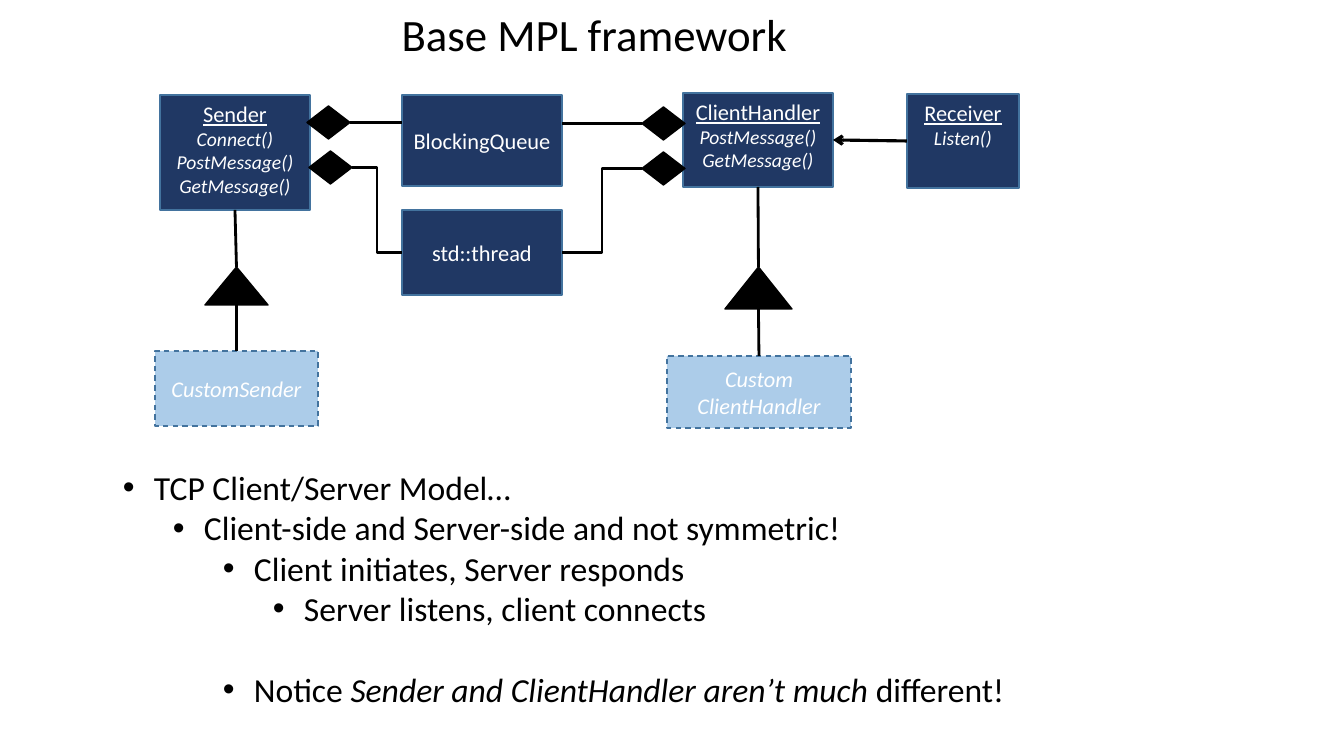
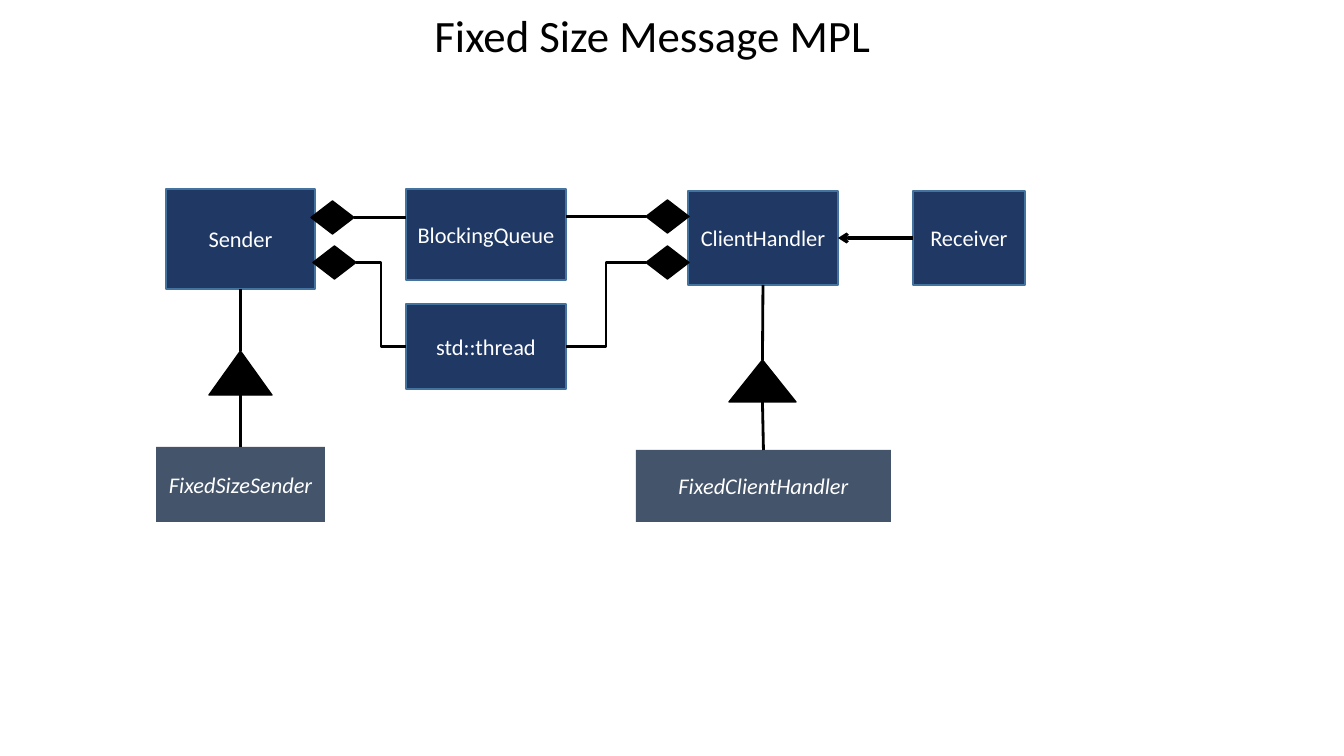
import pptx
import pptx.util
import pptx.dml.color
import pptx.enum.dml
import pptx.enum.shapes
import pptx.enum.text
import pptx.oxml.ns
import lxml.etree

RGB = pptx.dml.color.RGBColor
SHAPE = pptx.enum.shapes.MSO_SHAPE
CONNECTOR = pptx.enum.shapes.MSO_CONNECTOR
ANCHOR = pptx.enum.text.MSO_ANCHOR
ALIGN = pptx.enum.text.PP_ALIGN
qn = pptx.oxml.ns.qn

NAVY = RGB(0x20, 0x38, 0x64)
EDGE = RGB(0x43, 0x73, 0x9E)
SKY = RGB(0x5B, 0x9B, 0xD5)
SLATE = RGB(0x44, 0x54, 0x6A)
BLACK = RGB(0, 0, 0)
WHITE = RGB(255, 255, 255)
FONT = "Calibri"

SLIDE_WIDTH, SLIDE_HEIGHT = 1344, 756
SCALE = 12192000 / SLIDE_WIDTH
DIAMOND = (43, 33)
TITLE_SIZE = (993, 65)
INDENT, INDENT_STEP = 31, 50
TOP, LEFT, BOTTOM, RIGHT = range(4)  # connection sites of a box or diamond
APEX, BASE = 0, 3                    # connection sites of a triangle

# Each kind of class box: fill, opacity in percent, edge, dashed edge
KINDS = {
    "base": (NAVY, 100, EDGE, False),
    "custom": (SKY, 50, EDGE, True),
    "fixed": (SLATE, 100, None, False),
}

# Class boxes: key -> (kind, lines of text, (left, top, width, height)).
# Below the class name, further lines of a base class are its methods.
# Diamonds: (owner's side, part, (left, top)).
# Inheritance: (base, derived, triangle's (left, top, width, height)).
SLIDES = [
    {
        "title": ("Base MPL framework", (98, 2)),
        "classes": {
            "sender": ("base", ["Sender", "Connect()", "PostMessage()", "GetMessage()"],
                       (160, 95, 150, 115)),
            "receiver": ("base", ["Receiver", "Listen()"], (907, 94, 112, 94)),
            "handler": ("base", ["ClientHandler", "PostMessage()", "GetMessage()"],
                        (683, 93, 150, 94)),
            "queue": ("base", ["BlockingQueue"], (402, 95, 160, 91)),
            "thread": ("base", ["std::thread"], (402, 210, 160, 85)),
            "own sender": ("custom", ["CustomSender"], (155, 351, 163, 75)),
            "own handler": ("custom", ["Custom", "ClientHandler"], (667, 356, 184, 72)),
        },
        "diamonds": [
            ("sender", "queue", (307, 106)),
            ("sender", "thread", (309, 151)),
            ("handler", "queue", (642, 107)),
            ("handler", "thread", (642, 152)),
        ],
        "inheritance": [
            ("sender", "own sender", (205, 267, 63, 38)),
            ("handler", "own handler", (725, 267, 67, 42)),
        ],
        "bullets_at": (113, 462, 1059, 254),
        # level, space before in points, [(text, italic)]
        "bullets": [
            (0, 0, [("TCP Client/Server Model…", False)]),
            (1, 0, [("Client-side and Server-side and not symmetric!", False)]),
            (2, 0, [("Client initiates, Server responds", False)]),
            (3, 0, [("Server listens, client connects", False)]),
            (2, 29, [("Notice ", False),
                     ("Sender and ClientHandler aren’t much ", True),
                     ("different!", False)]),
        ],
    },
    {
        "title": ("Fixed Size Message MPL", (156, 3)),
        "classes": {
            "sender": ("base", ["Sender"], (166, 189, 149, 100)),
            "receiver": ("base", ["Receiver"], (913, 191, 112, 94)),
            "handler": ("base", ["ClientHandler"], (688, 191, 150, 94)),
            "queue": ("base", ["BlockingQueue"], (406, 189, 160, 91)),
            "thread": ("base", ["std::thread"], (406, 304, 160, 85)),
            "own sender": ("fixed", ["FixedSizeSender"], (156, 447, 169, 75)),
            "own handler": ("fixed", ["FixedClientHandler"], (636, 450, 255, 72)),
        },
        "diamonds": [
            ("sender", "queue", (311, 201)),
            ("sender", "thread", (313, 246)),
            ("handler", "queue", (646, 200)),
            ("handler", "thread", (646, 246)),
        ],
        "inheritance": [
            ("sender", "own sender", (209, 351, 63, 44)),
            ("handler", "own handler", (729, 360, 67, 42)),
        ],
    },
]


def px(length):
    """Turn pixels into EMU."""
    return pptx.util.Emu(round(length * SCALE))


def add_run(paragraph, words, size, color, italic=False, underline=False):
    """Add one formatted run to a paragraph."""
    run = paragraph.add_run()
    run.text = words
    font = run.font
    font.name, font.size = FONT, pptx.util.Pt(size)
    font.color.rgb = color
    font.italic, font.underline = italic, underline


def paragraphs(frame, count):
    """Return the first paragraph of a frame and as many more as needed."""
    return [frame.paragraphs[0]] + [frame.add_paragraph() for _ in range(count - 1)]


def add_solid(slide, preset, place, fill, edge):
    """Add a filled preset shape with a thin edge and no shadow."""
    solid = slide.shapes.add_shape(preset, *map(px, place))
    solid.shadow.inherit = False
    solid.fill.solid()
    solid.fill.fore_color.rgb = fill
    if edge is None:
        solid.line.fill.background()
    else:
        solid.line.color.rgb = edge
        solid.line.width = pptx.util.Pt(1)
    return solid


def add_class(slide, kind, lines, place):
    """Add a class box, with its methods below the name if it lists any."""
    fill, opacity, edge, dashed = KINDS[kind]
    box = add_solid(slide, SHAPE.RECTANGLE, place, fill, edge)
    if opacity < 100:
        tint = box.element.spPr.find(qn("a:solidFill"))[0]
        lxml.etree.SubElement(tint, qn("a:alpha"), val=str(opacity * 1000))
    if dashed:
        box.line.dash_style = pptx.enum.dml.MSO_LINE.DASH
    has_methods = kind == "base" and len(lines) > 1
    frame = box.text_frame
    frame.word_wrap = True
    frame.vertical_anchor = ANCHOR.TOP if has_methods else ANCHOR.MIDDLE
    for row, paragraph in enumerate(paragraphs(frame, len(lines))):
        paragraph.alignment = ALIGN.CENTER
        method = has_methods and row > 0
        add_run(paragraph, lines[row], 14 if method else 16, WHITE,
                italic=method or kind != "base",
                underline=has_methods and row == 0)
    return box


def add_link(slide, start, end, route=CONNECTOR.STRAIGHT, weight=2, arrow=False):
    """Connect two ends, each a (shape, site) pair or an (x, y) point in EMU."""
    link = slide.shapes.add_connector(route, 0, 0, 0, 0)
    if isinstance(start[0], int):
        link.begin_x, link.begin_y = start
    else:
        link.begin_connect(*start)
    link.end_connect(*end)
    link.line.color.rgb = BLACK
    link.line.width = pptx.util.Pt(weight)
    properties = link.element.spPr
    if arrow:
        lxml.etree.SubElement(properties.find(qn("a:ln")), qn("a:tailEnd"), type="arrow")
    lxml.etree.SubElement(properties, qn("a:effectLst"))


def add_ownership(slide, owner, part_name, part, corner):
    """Add a diamond beside its owner and the line to the part it holds."""
    diamond = add_solid(slide, SHAPE.DIAMOND, corner + DIAMOND, BLACK, BLACK)
    if owner == "sender":
        near, far, part_edge = RIGHT, LEFT, part.left
    else:
        near, far, part_edge = LEFT, RIGHT, part.left + part.width
    if part_name == "thread":
        add_link(slide, (diamond, near), (part, far), CONNECTOR.ELBOW)
    else:
        level = diamond.top + diamond.height // 2
        add_link(slide, (int(part_edge), level), (diamond, near))


def add_text(slide, place):
    """Add an empty wrapping text box and return its frame."""
    frame = slide.shapes.add_textbox(*map(px, place)).text_frame
    frame.word_wrap = True
    return frame


def add_title(slide, words, corner):
    """Add the centred slide title."""
    paragraph = add_text(slide, corner + TITLE_SIZE).paragraphs[0]
    paragraph.alignment = ALIGN.CENTER
    add_run(paragraph, words, 32, BLACK)


def add_bullets(slide, bullets, place):
    """Add a bulleted list with indented levels."""
    frame = add_text(slide, place)
    for paragraph, (level, gap, runs) in zip(paragraphs(frame, len(bullets)), bullets):
        paragraph.level = level
        paragraph.space_before = pptx.util.Pt(gap)
        for words, italic in runs:
            add_run(paragraph, words, 24, BLACK, italic)
        properties = paragraph._p.get_or_add_pPr()
        properties.set("marL", str(px(INDENT + level * INDENT_STEP)))
        properties.set("indent", str(-px(INDENT)))
        lxml.etree.SubElement(properties, qn("a:buFont"), typeface="Arial")
        lxml.etree.SubElement(properties, qn("a:buChar"), char="•")


def build_slide(deck, content):
    """Build one class diagram slide."""
    slide = deck.slides.add_slide(deck.slide_layouts[6])
    add_title(slide, *content["title"])
    classes = {key: add_class(slide, *entry) for key, entry in content["classes"].items()}
    for owner, part, corner in content["diamonds"]:
        add_ownership(slide, owner, part, classes[part], corner)
    for base, derived, place in content["inheritance"]:
        triangle = add_solid(slide, SHAPE.ISOSCELES_TRIANGLE, place, BLACK, BLACK)
        add_link(slide, (classes[base], BOTTOM), (triangle, APEX))
        # A triangle's base is the fourth site; its middle lies at the box's foot.
        add_link(slide, (triangle, BASE), (classes[derived], TOP))
    add_link(slide, (classes["receiver"], LEFT), (classes["handler"], RIGHT),
             weight=2.25, arrow=True)
    if "bullets" in content:
        add_bullets(slide, content["bullets"], content["bullets_at"])


def fix_triangle_starts(deck):
    """Move links that leave a triangle's base to the middle of that base."""
    for slide in deck.slides:
        triangles = {shape.shape_id: shape for shape in slide.shapes
                     if shape.element.find(".//" + qn("a:prstGeom")) is not None
                     and shape.element.find(".//" + qn("a:prstGeom")).get("prst") == "triangle"}
        for link in slide.shapes:
            start = link.element.find(".//" + qn("a:stCxn"))
            if start is not None and int(start.get("id")) in triangles:
                triangle = triangles[int(start.get("id"))]
                link.begin_x = triangle.left + triangle.width // 2
                link.begin_y = triangle.top + triangle.height


def main():
    """Build and save the deck."""
    deck = pptx.Presentation()
    deck.slide_width, deck.slide_height = px(SLIDE_WIDTH), px(SLIDE_HEIGHT)
    for content in SLIDES:
        build_slide(deck, content)
    fix_triangle_starts(deck)
    deck.save("out.pptx")


main()
